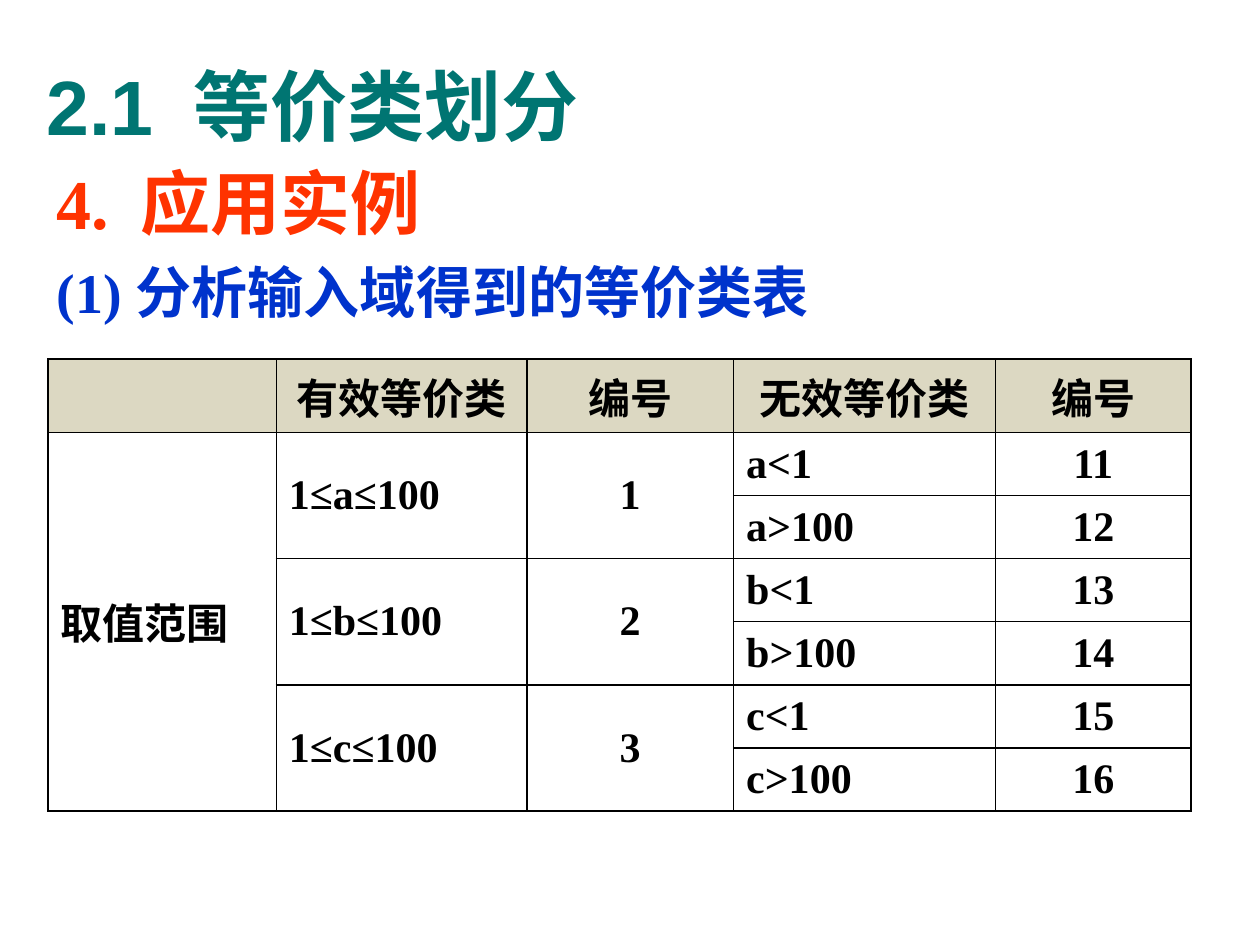
"""Build a slide showing an equivalence class table for three inputs."""
from dataclasses import dataclass

from lxml.etree import SubElement
from pptx import Presentation
from pptx.dml.color import RGBColor
from pptx.enum.text import MSO_ANCHOR, PP_ALIGN
from pptx.oxml.ns import qn
from pptx.util import Cm, Pt

SANS, SERIF = "Arial", "Times New Roman"
BLACK, HEADER_FILL = "000000", "DCD8C2"
HEADERS = ["", "有效等价类", "编号", "无效等价类", "编号"]
VARIABLES = "abc"
COLUMN_WIDTHS = [4.6, 5.05, 4.17, 5.28, 3.94]
HEADER_HEIGHT, ROW_HEIGHT = 1.48, 1.19


@dataclass
class Heading:
    number: str
    title: str
    size: int
    color: str
    number_font: str


@dataclass
class Box:
    left: float
    top: float
    width: float
    height: float
    anchor: MSO_ANCHOR


def rgb(color: str) -> RGBColor:
    return RGBColor.from_string(color)


def format_run(r, size: int, color: str, font: str) -> None:
    r.font.size = Pt(size)
    r.font.bold = True
    r.font.name = font
    r.font.color.rgb = rgb(color)


def add_box(s, box: Box):
    sp = s.shapes.add_textbox(Cm(box.left), Cm(box.top), Cm(box.width), Cm(box.height))
    tf = sp.text_frame
    tf.word_wrap = True
    tf.vertical_anchor = box.anchor
    return tf


def write_heading(p, heading: Heading) -> None:
    p.text = heading.number
    p.add_run().text = heading.title
    for r, font in zip(p.runs, (heading.number_font, SANS)):
        format_run(r, heading.size, heading.color, font)


def add_tab_stop(p, position: float) -> None:
    tabs = SubElement(p._p.get_or_add_pPr(), qn("a:tabLst"))
    SubElement(tabs, qn("a:tab"), pos=str(Cm(position)), algn="l")


def set_borders(cell) -> None:
    tc_pr = cell._tc.get_or_add_tcPr()
    for index, side in enumerate(("a:lnL", "a:lnR", "a:lnT", "a:lnB")):
        line = tc_pr.makeelement(qn(side), {"w": str(Pt(1))})
        fill = SubElement(line, qn("a:solidFill"))
        SubElement(fill, qn("a:srgbClr"), val=BLACK)
        tc_pr.insert(index, line)


def write_cell(cell, text: str, centered: bool, anchor: MSO_ANCHOR = MSO_ANCHOR.MIDDLE) -> None:
    cell.text = text
    cell.vertical_anchor = anchor
    p = cell.text_frame.paragraphs[0]
    p.alignment = PP_ALIGN.CENTER if centered else PP_ALIGN.LEFT
    for r in p.runs:
        format_run(r, 24, BLACK, SERIF)


def add_class_table(s) -> None:
    row_count = 1 + 2 * len(VARIABLES)
    height = HEADER_HEIGHT + ROW_HEIGHT * (row_count - 1)
    table = s.shapes.add_table(row_count, len(HEADERS), Cm(0.97), Cm(7.24),
                               Cm(sum(COLUMN_WIDTHS)), Cm(height)).table
    for column, width in zip(table.columns, COLUMN_WIDTHS):
        column.width = Cm(width)
    for i, row in enumerate(table.rows):
        row.height = Cm(ROW_HEIGHT if i else HEADER_HEIGHT)
        for cell in row.cells:
            if i:
                cell.fill.background()
            else:
                cell.fill.solid()
                cell.fill.fore_color.rgb = rgb(HEADER_FILL)
            set_borders(cell)

    for j, header in enumerate(HEADERS):
        write_cell(table.cell(0, j), header, True, MSO_ANCHOR.TOP)
    table.cell(1, 0).merge(table.cell(row_count - 1, 0))
    write_cell(table.cell(1, 0), "取值范围", False)

    for i, name in enumerate(VARIABLES):
        top = 1 + 2 * i
        for j, text in ((1, f"1≤{name}≤100"), (2, str(i + 1))):
            table.cell(top, j).merge(table.cell(top + 1, j))
            write_cell(table.cell(top, j), text, j == 2)
        for k, limit in enumerate(("<1", ">100")):
            write_cell(table.cell(top + k, 3), name + limit, False)
            write_cell(table.cell(top + k, 4), str(10 + top + k), True)


def main() -> None:
    prs = Presentation()
    prs.slide_width, prs.slide_height = Cm(25.4), Cm(19.05)
    s = prs.slides.add_slide(prs.slide_layouts[6])

    tf = add_box(s, Box(0.69, 0.53, 23.72, 3.18, MSO_ANCHOR.MIDDLE))
    p = tf.paragraphs[0]
    add_tab_stop(p, 2.97)
    write_heading(p, Heading("2.1\t", "等价类划分", 44, "007572", SANS))

    tf = add_box(s, Box(0.89, 2.92, 23.39, 15.6, MSO_ANCHOR.TOP))
    headings = [
        Heading("4.\t", "应用实例", 40, "FF3300", SERIF),
        Heading("(1) ", "分析输入域得到的等价类表", 32, "0033CC", SERIF),
    ]
    for i, heading in enumerate(headings):
        p = tf.add_paragraph() if i else tf.paragraphs[0]
        p.line_spacing = 1.1
        p.space_before = Pt(2 if i else 0)
        p.space_after = Pt(2)
        p._p.get_or_add_pPr().set("marL", str(Cm(1.7)))
        p._p.get_or_add_pPr().set("indent", str(Cm(-1.7)))
        write_heading(p, heading)

    add_class_table(s)
    prs.save("out.pptx")


if __name__ == "__main__":
    main()
